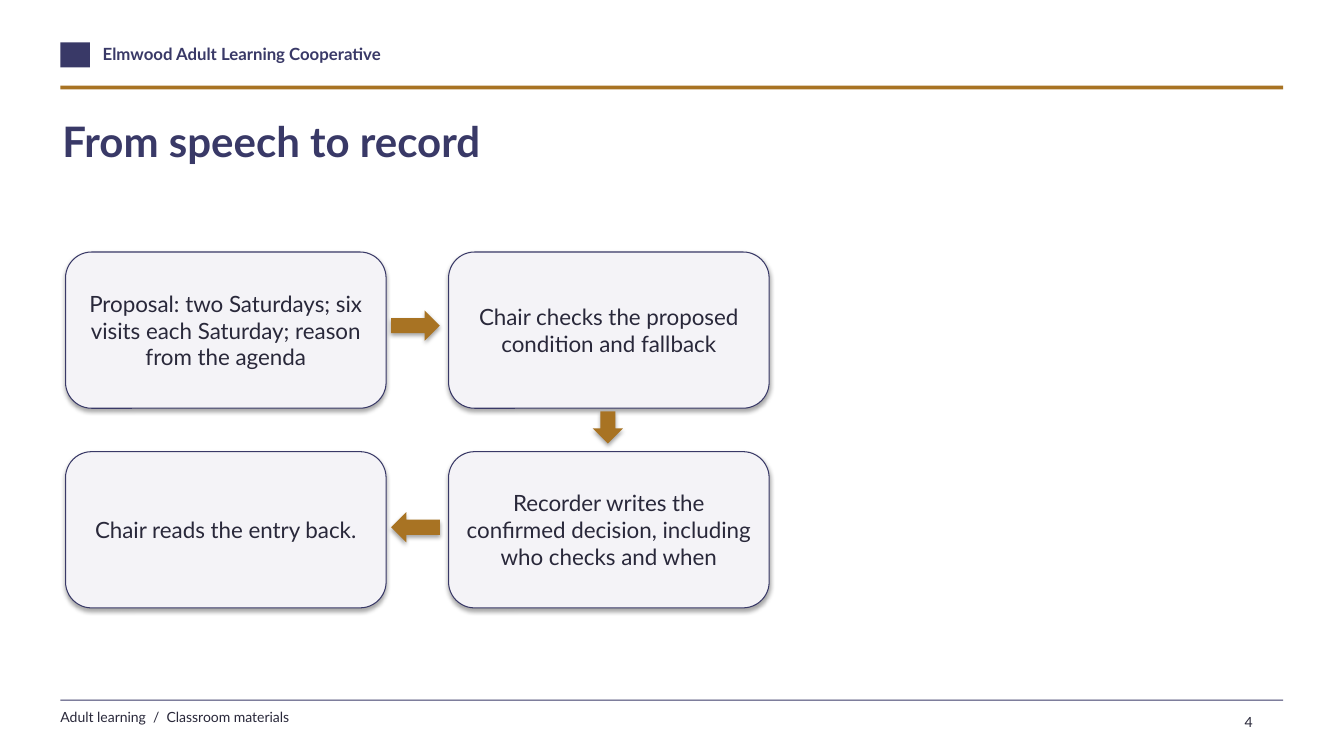
from dataclasses import dataclass
from lxml.etree import SubElement
from pptx import Presentation
from pptx.dml.color import RGBColor
from pptx.enum.shapes import MSO_SHAPE as Shape
from pptx.enum.text import MSO_ANCHOR as Anchor, PP_ALIGN as Align
from pptx.oxml.ns import qn
from pptx.util import Pt


@dataclass(frozen=True)
class Theme:
    font: str = "Lato"
    indigo: str = "393967"
    ochre: str = "A87323"
    ink: str = "29283A"
    panel: str = "F4F3F7"
    shadow: str = "000000"
    title_size: int = 30
    step_size: int = 16
    brand_size: int = 12
    small_size: int = 10


THEME = Theme()


def write(shape, text, size=THEME.small_size, color=THEME.ink, bold=False,
          align=Align.LEFT, anchor=Anchor.TOP, insets=(0, 0)):
    frame = shape.text_frame
    frame.word_wrap = True
    frame.vertical_anchor = anchor
    frame.margin_left = frame.margin_right = Pt(insets[0])
    frame.margin_top = frame.margin_bottom = Pt(insets[1])
    para = frame.paragraphs[0]
    para.alignment = align
    span = para.add_run()
    span.text = text
    span.font.name = THEME.font
    span.font.size = Pt(size)
    span.font.bold = bold
    span.font.color.rgb = RGBColor.from_string(color)


def add_text(page, box, text, **style):
    write(page.shapes.add_textbox(*map(Pt, box)), text, **style)


def add_block(page, kind, box, fill, line=None, raised=False):
    """Add a filled preset shape; raised gives it a soft drop shadow."""
    shape = page.shapes.add_shape(kind, *map(Pt, box))
    shape.fill.solid()
    shape.fill.fore_color.rgb = RGBColor.from_string(fill)
    if line:
        shape.line.color.rgb = RGBColor.from_string(line)
        shape.line.width = Pt(0.75)
    else:
        shape.line.fill.background()
    shape.shadow.inherit = False
    if raised:
        effects = shape._element.spPr.find(qn("a:effectLst"))
        shadow = SubElement(effects, qn("a:outerShdw"), blurRad=str(Pt(3.1)),
                            dist=str(Pt(1.8)), dir="5400000", rotWithShape="0")
        color = SubElement(shadow, qn("a:srgbClr"), val=THEME.shadow)
        SubElement(color, qn("a:alpha"), val="35000")
    return shape


def add_header(page, box):
    left, top, width, height = box
    add_block(page, Shape.RECTANGLE, (left, top, 21, 18), THEME.indigo)
    add_text(page, (left + 30.2, top + 0.7, 432, 20),
             "Elmwood Adult Learning Cooperative",
             size=THEME.brand_size, color=THEME.indigo, bold=True)
    add_block(page, Shape.RECTANGLE, (left, top + height - 2.6, width, 2.6),
              THEME.ochre)


def add_footer(page, box, number):
    left, top, width, height = box
    add_block(page, Shape.RECTANGLE, (left, top, width, 0.7), THEME.indigo)
    add_text(page, (left, top + 6.5, 504, height - 6.5),
             "Adult learning  /  Classroom materials")
    add_text(page, (left + width - 34.6, top + 6.5, 32.4, height - 6.5),
             number, insets=(7.2, 3.6))


def add_flow(page, box, steps):
    """Place four steps clockwise on a two by two grid, joined by arrows."""
    left, top, width, height = box
    step_width, step_height = 229, 111.6
    right = left + width - step_width
    lower = top + height - step_height
    corners = [(left, top), (right, top), (right, lower), (left, lower)]
    for corner, text in zip(corners, steps):
        step = add_block(page, Shape.ROUNDED_RECTANGLE,
                         (*corner, step_width, step_height),
                         THEME.panel, line=THEME.indigo, raised=True)
        write(step, text, size=THEME.step_size, align=Align.CENTER,
              anchor=Anchor.MIDDLE, insets=(7.2, 3.6))

    across = left + step_width + 3.6
    arrows = [
        (Shape.RIGHT_ARROW, (across, top + 41.8, 34.8, 21.6)),
        (Shape.DOWN_ARROW, (right + 103, top + step_height + 2.2, 21.6, 23)),
        (Shape.LEFT_ARROW, (across, lower + 43.2, 34.8, 21.6)),
    ]
    for kind, place in arrows:
        add_block(page, kind, place, THEME.ochre, raised=True)


def main():
    deck = Presentation()
    deck.slide_width, deck.slide_height = Pt(960), Pt(540)
    page = deck.slides.add_slide(deck.slide_layouts[6])
    add_header(page, (43.2, 30.2, 873.4, 33.6))
    add_text(page, (44.6, 82.8, 864, 75.6), "From speech to record",
             size=THEME.title_size, color=THEME.indigo, bold=True)
    add_flow(page, (46.8, 180, 502.6, 254.2), [
        "Proposal: two Saturdays; six visits each Saturday; reason from the agenda",
        "Chair checks the proposed condition and fallback",
        "Recorder writes the confirmed decision, including who checks and when",
        "Chair reads the entry back.",
    ])
    add_footer(page, (43.2, 499.7, 873.4, 24.5), "4")
    deck.save("out.pptx")


if __name__ == "__main__":
    main()
